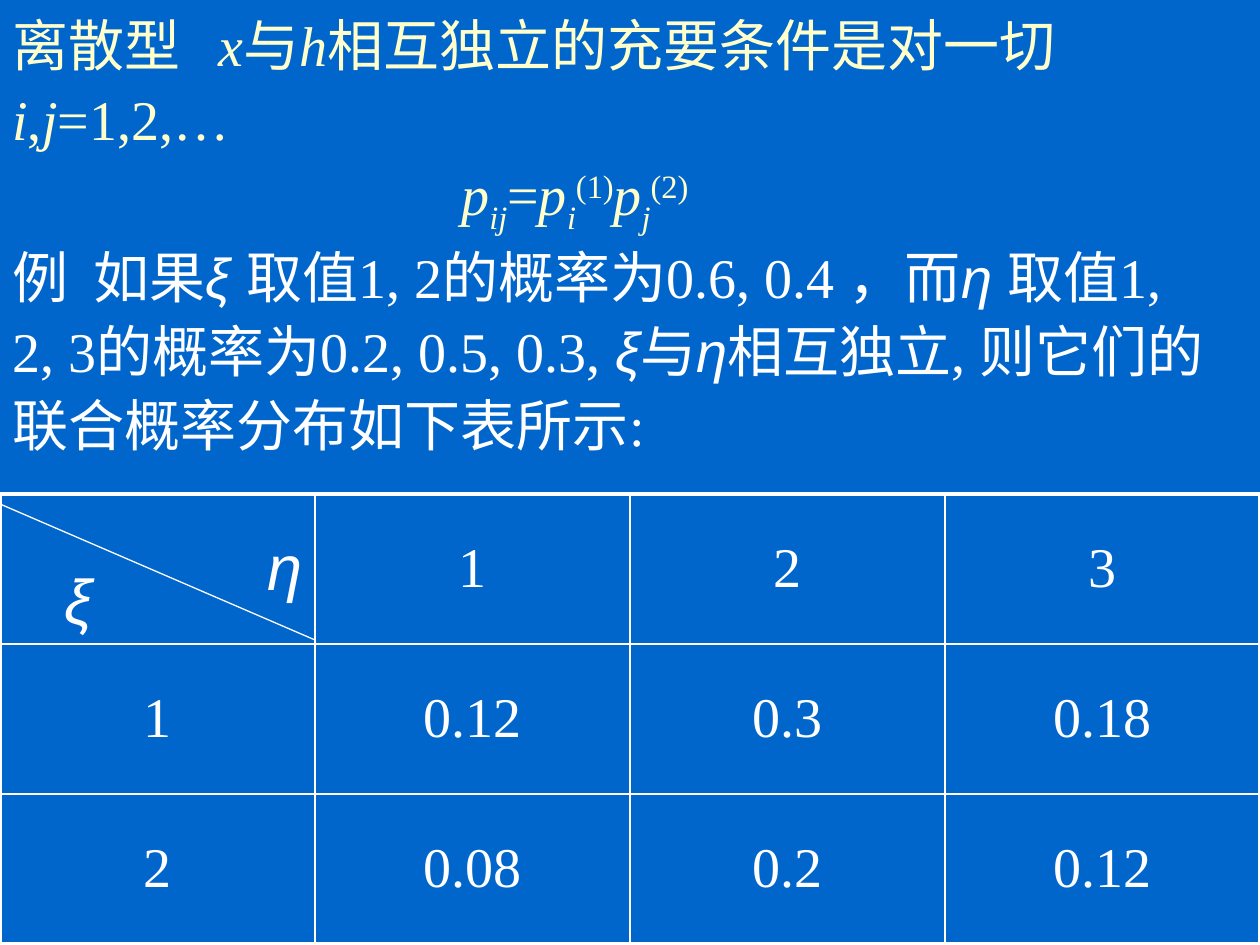
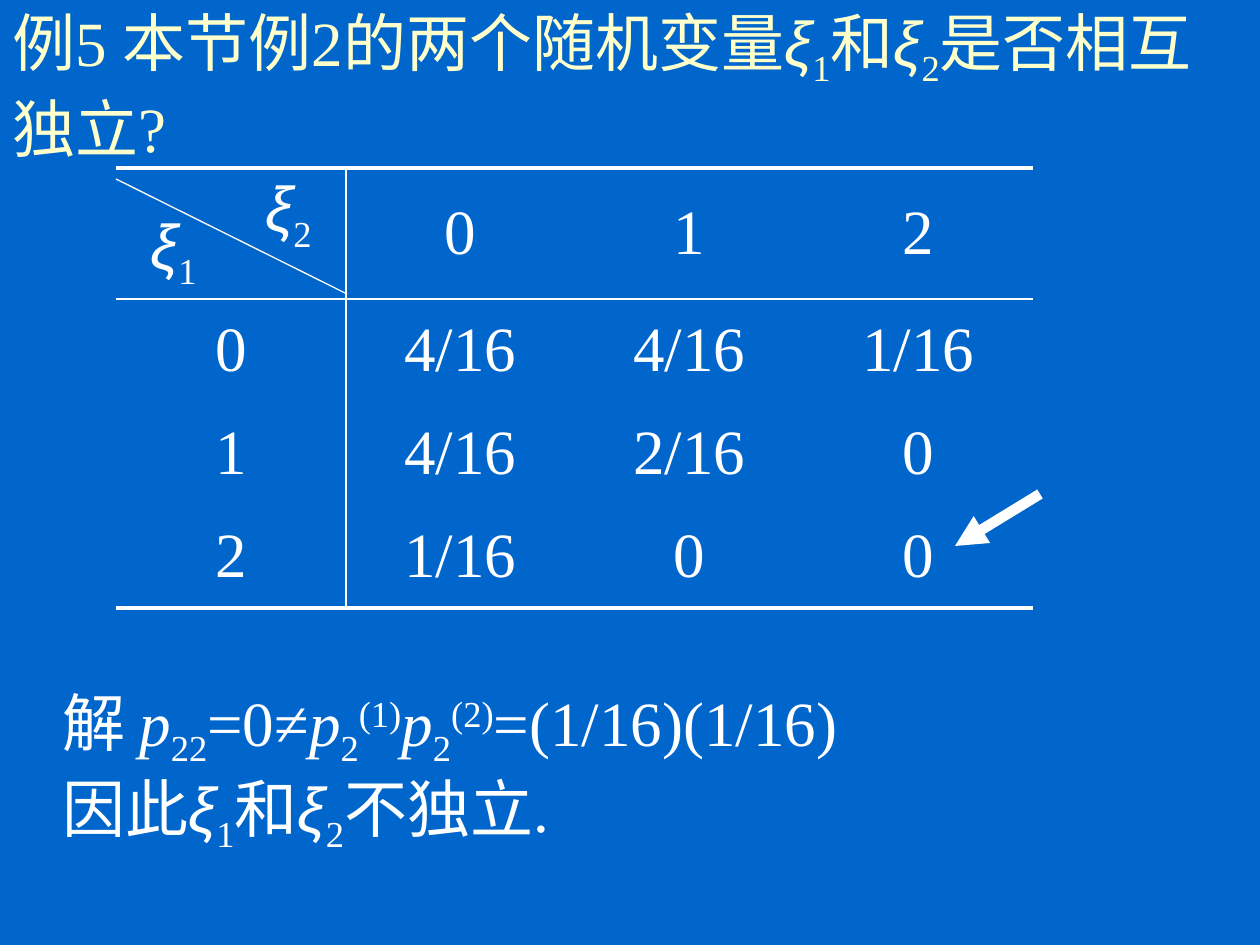
from lxml import etree
from pptx import Presentation
from pptx.dml.color import RGBColor
from pptx.enum.shapes import MSO_CONNECTOR
from pptx.enum.text import MSO_ANCHOR, PP_ALIGN
from pptx.oxml.ns import qn
from pptx.util import Emu, Pt

STRAIGHT = MSO_CONNECTOR.STRAIGHT
TOP, MIDDLE, BOTTOM = MSO_ANCHOR.TOP, MSO_ANCHOR.MIDDLE, MSO_ANCHOR.BOTTOM
LEFT, CENTER, RIGHT = PP_ALIGN.LEFT, PP_ALIGN.CENTER, PP_ALIGN.RIGHT

BLUE, CREAM, WHITE = "0066CC", "FFFFCC", "FFFFFF"
SERIF, GREEK = "Times New Roman", "Arial"
WIDTH, HEIGHT = 1260, 945
THICK, THIN, HAIR = 2.25, 1, 0.75
MARKS = "/~_^"  # italic, Greek letter, subscript, superscript


def px(n):
    return Emu(round(n * 914400 / 126))


def rgb(code):
    return RGBColor.from_string(code)


class Deck:
    def __init__(self):
        self.prs = Presentation()
        self.prs.slide_width, self.prs.slide_height = px(WIDTH), px(HEIGHT)
        self.slide = None

    def page(self):
        self.slide = self.prs.slides.add_slide(self.prs.slide_layouts[6])
        fill = self.slide.background.fill
        fill.solid()
        fill.fore_color.rgb = rgb(BLUE)

    def para(self, p, text, size, color=WHITE, align=LEFT, tab=0, left=0, space=None):
        """Fill a paragraph; runs are split by | and may start with MARKS."""
        props = p._p.get_or_add_pPr()
        if left:
            props.set("marL", str(px(left)))
            props.set("indent", "0")
        if tab:
            stops = etree.SubElement(props, qn("a:tabLst"))
            etree.SubElement(stops, qn("a:tab"), pos=str(px(tab)), algn="l")
        if space:
            p.line_spacing = space
        p.alignment = align
        p.font.size, p.font.name = Pt(size), SERIF
        p.font.color.rgb = rgb(color)
        for part in text.split("|"):
            body = part.lstrip(MARKS)
            marks = part[:len(part) - len(body)]
            run = p.add_run()
            run.text = body
            if "/" in marks or "~" in marks:
                run.font.italic = True
            if "~" in marks:
                run.font.name = GREEK
            for mark, base in (("_", "-25000"), ("^", "30000")):
                if mark in marks:
                    run._r.get_or_add_rPr().set("baseline", base)

    def text(self, x, y, w, h, paras, size, anchor=TOP, **style):
        """Each item of paras is the text and its own style."""
        frame = self.slide.shapes.add_textbox(px(x), px(y), px(w), px(h)).text_frame
        frame.word_wrap = True
        frame.vertical_anchor = anchor
        for i, (text, own) in enumerate(paras):
            p = frame.add_paragraph() if i else frame.paragraphs[0]
            self.para(p, text, size, **{**style, **own})

    def title(self, w, h, paras, size, **style):
        self.text(0, 0, w, h, paras, size, MIDDLE, color=CREAM, **style)

    def line(self, x1, y1, x2, y2, width=HAIR, arrow=False):
        line = self.slide.shapes.add_connector(STRAIGHT, px(x1), px(y1), px(x2), px(y2))
        line.line.color.rgb = rgb(WHITE)
        line.line.width = Pt(width)
        if arrow:
            etree.SubElement(line.line._get_or_add_ln(), qn("a:tailEnd"), type="triangle")
        etree.SubElement(line._element.spPr, qn("a:effectLst"))

    def edges(self, cell, widths):
        props = cell._tc.get_or_add_tcPr()
        for side, width in zip("LRTB", widths):
            ln = etree.SubElement(props, qn("a:ln" + side), w=str(Pt(width)))
            if width:
                fill = etree.SubElement(ln, qn("a:solidFill"))
                etree.SubElement(fill, qn("a:srgbClr"), val=WHITE)
            else:
                etree.SubElement(ln, qn("a:noFill"))
        cell.fill.background()

    def table(self, x, y, cols, rows, corner, data, size, down, across):
        """The corner holds two cells; below it, row heads span both columns.
        down and across give the widths of the upright and level rules."""
        grid = self.slide.shapes.add_table(
            len(rows), len(cols), px(x), px(y), px(sum(cols)), px(sum(rows))).table
        grid.first_row = grid.horz_banding = False
        for col, w in zip(grid.columns, cols):
            col.width = px(w)
        for row, h in zip(grid.rows, rows):
            row.height = px(h)
        for r in range(len(rows)):
            for c in range(len(cols)):
                cell = grid.cell(r, c)
                span = 2 if r and not c else 1
                if span == 2:
                    cell.merge(grid.cell(r, 1))
                self.edges(cell, (down[c], down[c + span], across[r], across[r + 1]))
        # Corner labels
        for c, (text, align, anchor) in enumerate(corner):
            cell = grid.cell(0, c)
            cell.vertical_anchor = anchor
            self.para(cell.text_frame.paragraphs[0], text, 36, align=align)
        # Heads and values
        for r, values in enumerate(data):
            for c, value in enumerate(values.split()):
                cell = grid.cell(r, c + 1 if c or not r else 0)
                if not r:
                    cell = grid.cell(0, c + 2)
                cell.vertical_anchor = MIDDLE
                self.para(cell.text_frame.paragraphs[0], value, size, align=CENTER)


def main():
    deck = Deck()

    # Slide 1: condition for independence and joint distribution
    deck.page()
    deck.title(1218, 462, [
        ("离散型\t|/x|与|/h|相互独立的充要条件是对一切|/i|,|/j|=1,2,…", {"tab": 206}),
        ("/p|_/ij|=|/p|_/i|^(1)|/p|_/j|^(2)", {"left": 449}),
        ("例\t如果|~ξ |取值1, 2的概率为0.6, 0.4 ，而|~η |取值1, 2, 3的概率为0.2, 0.5, 0.3, "
         "|~ξ|与|~η|相互独立, 则它们的联合概率分布如下表所示:", {"color": WHITE, "tab": 81}),
    ], 32, space=1.1)
    deck.table(0, 494, [157, 158] + [315] * 3, [150] * 3,
               [("~ξ", CENTER, BOTTOM), ("~η", RIGHT, MIDDLE)],
               ["1 2 3", "1 0.12 0.3 0.18", "2 0.08 0.2 0.12"], 32,
               [THICK, 0, THIN, THIN, THIN, THICK], [THICK, THIN, THIN, THICK])
    deck.line(0, 504, 315, 640)

    # Slide 2: test of independence
    deck.page()
    deck.title(WIDTH, 168, [
        ("例5 本节例2的两个随机变量|~ξ|_1|和|~ξ|_2|是否相互独立?", {})], 36)
    deck.table(116, 168, [115] * 2 + [229] * 3, [131] + [103] * 3,
               [("~ξ|_1", CENTER, BOTTOM), ("~ξ|_2", CENTER, TOP)],
               ["0 1 2", "0 4/16 4/16 1/16", "1 4/16 2/16 0", "2 1/16 0 0"], 36,
               [0, 0, THIN, 0, 0, 0], [THICK, THIN, 0, 0, THICK])
    deck.line(116, 179, 347, 294)
    deck.text(50, 677, 968, 164, [
        ("解 |/p|_22|=0≠|/p|_2|^(1)|/p|_2|^(2)|=(1/16)(1/16)", {}),
        ("因此|~ξ|_1|和|~ξ|_2|不独立.", {})], 36)
    deck.line(1040, 494, 955, 546, 6, arrow=True)

    deck.prs.save("out.pptx")


if __name__ == "__main__":
    main()
